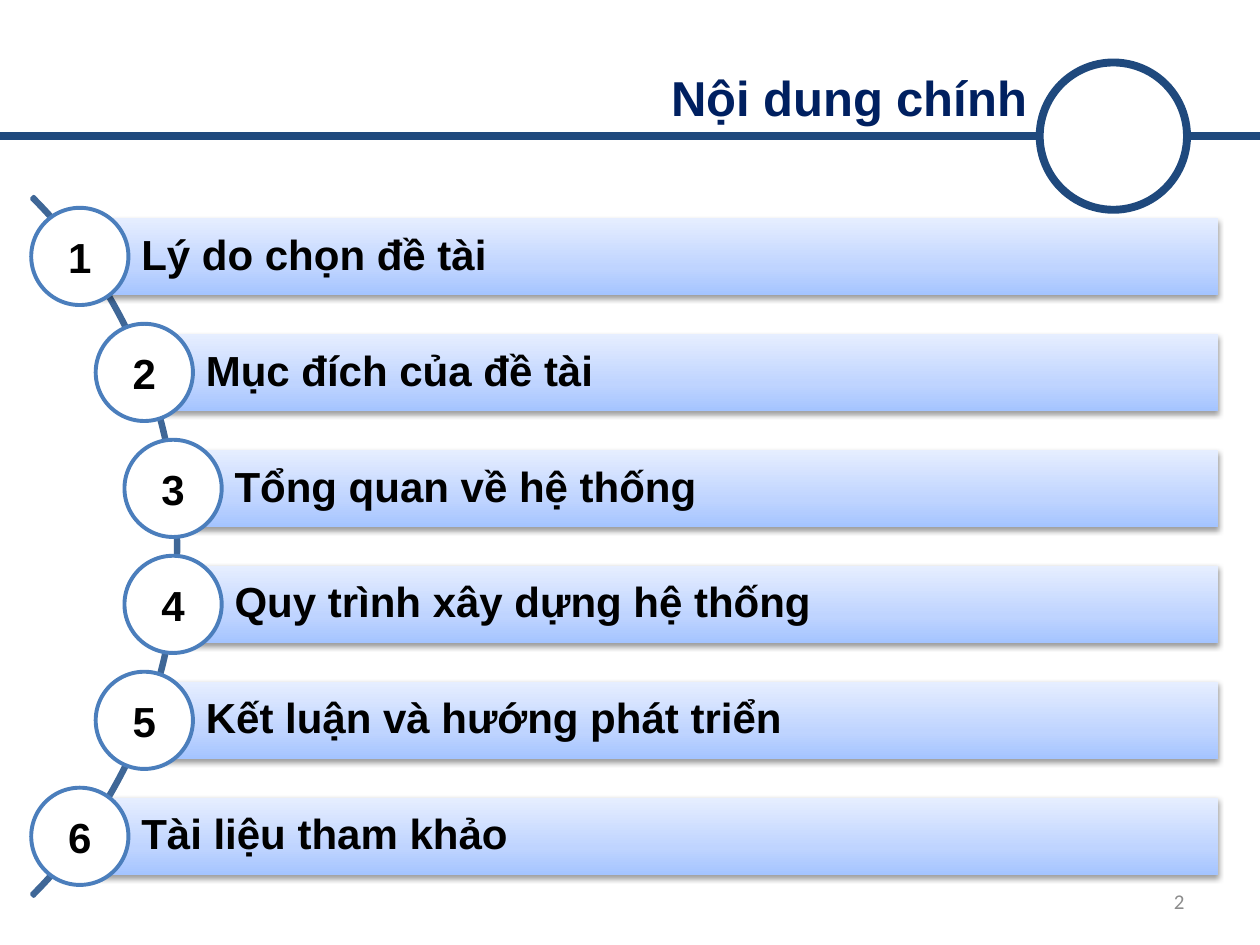
from lxml import etree
from pptx import Presentation
from pptx.dml.color import RGBColor
from pptx.enum.shapes import MSO_CONNECTOR, MSO_SHAPE
from pptx.enum.text import MSO_ANCHOR, MSO_AUTO_SIZE, PP_ALIGN
from pptx.oxml import parse_xml
from pptx.oxml.ns import nsdecls, qn
from pptx.util import Cm, Pt

LEFT, CENTER, RIGHT = PP_ALIGN.LEFT, PP_ALIGN.CENTER, PP_ALIGN.RIGHT
MIDDLE = MSO_ANCHOR.MIDDLE
NO_AUTOFIT = MSO_AUTO_SIZE.NONE
RECTANGLE, OVAL, BLOCK_ARC = MSO_SHAPE.RECTANGLE, MSO_SHAPE.OVAL, MSO_SHAPE.BLOCK_ARC
STRAIGHT = MSO_CONNECTOR.STRAIGHT

SLIDE_WIDTH, SLIDE_HEIGHT = 25.4, 19.05
COLORS = {
    "title": "002060",
    "header": "1F497D",
    "arc": "3F6797",
    "ring": "4B7EBC",
    "white": "FFFFFF",
    "black": "000000",
    "number": "8C8C8C",
    "bar_bottom": "A4C4FF",
    "bar_middle": "BFD4FF",
    "bar_top": "E6EEFF",
}
TOPICS = [
    "Lý do chọn đề tài",
    "Mục đích của đề tài",
    "Tổng quan về hệ thống",
    "Quy trình xây dựng hệ thống",
    "Kết luận và hướng phát triển",
    "Tài liệu tham khảo",
]
INDENTS = [0, 1.3, 1.88, 1.88, 1.3, 0]


def rgb(name):
    return RGBColor.from_string(COLORS[name])


def write(shape, text, size=24, font="Arial", color="black", bold=True,
          align=LEFT, spacing=None, insets=(0.25, 0.13, 0.25, 0.13)):
    frame = shape.text_frame
    frame.word_wrap = True
    frame.auto_size = NO_AUTOFIT
    frame.vertical_anchor = MIDDLE
    (frame.margin_left, frame.margin_top,
     frame.margin_right, frame.margin_bottom) = map(Cm, insets)
    paragraph = frame.paragraphs[0]
    paragraph.alignment = align
    if spacing:
        paragraph.line_spacing = spacing
    run = paragraph.add_run()
    run.text = text
    run.font.size = Pt(size)
    run.font.name = font
    run.font.bold = bold
    run.font.color.rgb = rgb(color)


def draw(slide, preset, left, top, width, height, fill=None, line=None, weight=1):
    shape = slide.shapes.add_shape(preset, Cm(left), Cm(top), Cm(width), Cm(height))
    shape.shadow.inherit = False
    if fill:
        shape.fill.solid()
        shape.fill.fore_color.rgb = rgb(fill)
    else:
        shape.fill.background()
    if line:
        shape.line.color.rgb = rgb(line)
        shape.line.width = Pt(weight)
    else:
        shape.line.fill.background()
    return shape


def shade_bar(bar):
    properties = bar._element.spPr
    stops = [(0, "bar_bottom"), (35000, "bar_middle"), (100000, "bar_top")]
    stop_xml = "".join(
        f'<a:gs pos="{position}"><a:srgbClr val="{COLORS[name]}"/></a:gs>'
        for position, name in stops)
    gradient = parse_xml(
        f'<a:gradFill {nsdecls("a")} rotWithShape="1"><a:gsLst>{stop_xml}</a:gsLst>'
        '<a:lin ang="16200000" scaled="0"/></a:gradFill>')
    properties.replace(properties.find(qn("a:noFill")), gradient)
    properties.find(qn("a:effectLst")).append(parse_xml(
        f'<a:outerShdw {nsdecls("a")} blurRad="{Pt(3.1)}" dist="{Pt(1.6)}" '
        f'dir="5400000" rotWithShape="0"><a:srgbClr val="{COLORS["black"]}">'
        '<a:alpha val="38000"/></a:srgbClr></a:outerShdw>'))


def add_title(slide, left, top, width, height):
    title = slide.shapes.title
    title.left, title.top, title.width, title.height = map(Cm, (left, top, width, height))
    write(title, "Nội dung chính", size=28, color="title", align=RIGHT)


def add_topics(slide, left, top, width, height):
    disc, bar_height, arc_size = 1.96, 1.56, 19.94
    pitch = (height - disc) / (len(TOPICS) - 1)
    arc = draw(slide, BLOCK_ARC, left - 16.97, top + (height - arc_size) / 2,
               arc_size, arc_size, line="arc", weight=2)
    for index, value in enumerate((189, 27, 0.003)):
        arc.adjustments[index] = value
    for index, (topic, indent) in enumerate(zip(TOPICS, INDENTS)):
        disc_left, disc_top = left + indent, top + index * pitch
        bar_left = disc_left + disc / 2
        bar = draw(slide, RECTANGLE, bar_left, disc_top + (disc - bar_height) / 2,
                   left + width - bar_left, bar_height)
        shade_bar(bar)
        write(bar, topic, spacing=0.9, insets=(1.24, 0.18, 0.18, 0.18))
        number = draw(slide, OVAL, disc_left, disc_top, disc, disc,
                      fill="white", line="ring", weight=2.25)
        write(number, str(index + 1), align=CENTER)


def add_header_rule(slide, left, top, width, height):
    middle = top + height / 2
    rule = slide.shapes.add_connector(
        STRAIGHT, Cm(left), Cm(middle), Cm(left + width), Cm(middle))
    rule.line.color.rgb = rgb("header")
    rule.line.width = Pt(4.5)
    etree.SubElement(rule._element.spPr, qn("a:effectLst"))
    draw(slide, OVAL, left + 20.96, top, height, height,
         fill="white", line="header", weight=4.5)


def add_page_number(slide, left, top, width, height):
    page = slide.shapes.add_textbox(Cm(left), Cm(top), Cm(width), Cm(height))
    write(page, "2", size=12, font="Calibri", color="number", bold=False, align=RIGHT)


def main():
    deck = Presentation()
    deck.slide_width, deck.slide_height = Cm(SLIDE_WIDTH), Cm(SLIDE_HEIGHT)
    slide = deck.slides.add_slide(deck.slide_layouts[5])
    add_title(slide, 0, 1.07, 20.96, 1.78)
    add_topics(slide, 0.63, 4.19, 23.93, 13.65)
    add_header_rule(slide, 0, 1.26, SLIDE_WIDTH, 2.97)
    add_page_number(slide, 18.2, 17.66, 5.93, 1.01)
    deck.save("out.pptx")


if __name__ == "__main__":
    main()
